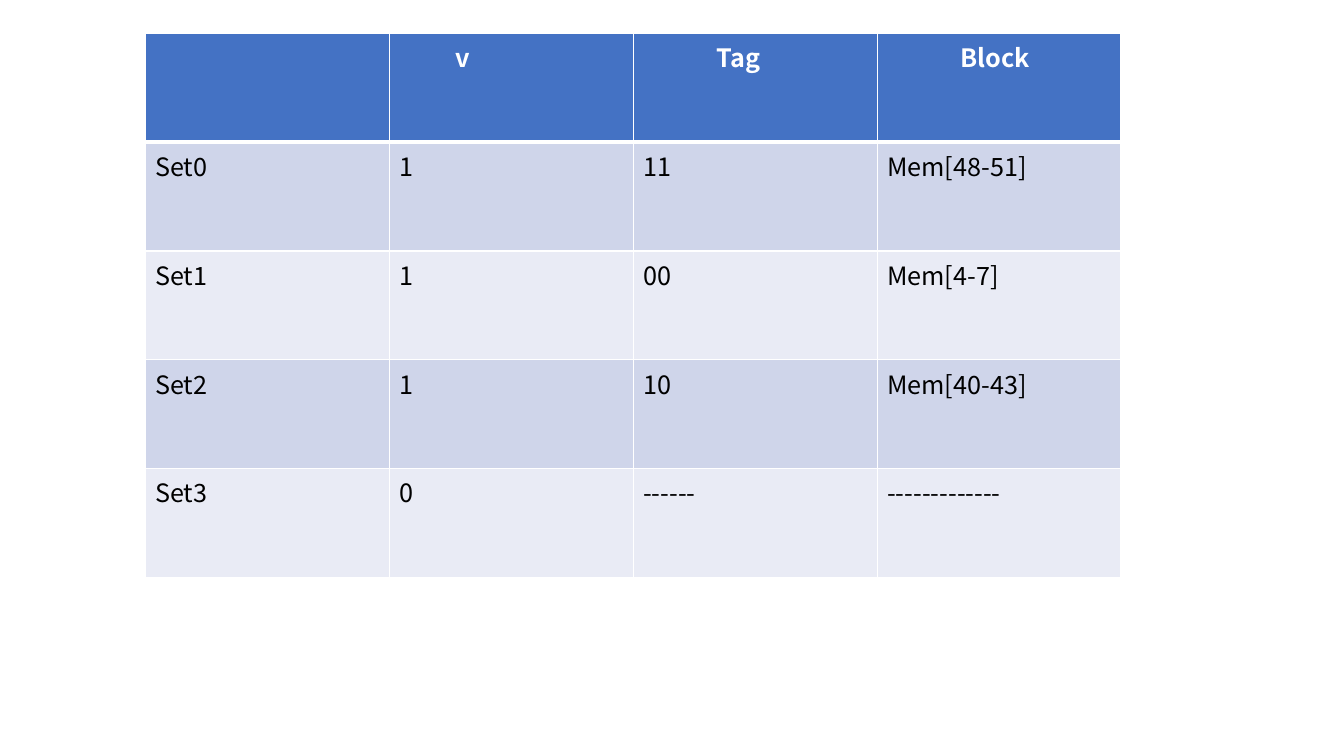
from pptx import Presentation
from pptx.util import Inches, Pt
from pptx.dml.color import RGBColor as RGB
from pptx.oxml import parse_xml
from pptx.oxml.ns import nsdecls

ROWS = [
    ("", "v", "Tag", "Block"),
    ("Set0", "1", "11", "Mem[48-51]"),
    ("Set1", "1", "00", "Mem[4-7]"),
    ("Set2", "1", "10", "Mem[40-43]"),
    ("Set3", "0", "------", "-------------"),
]
INSETS = (0.1, 0.66, 0.83, 0.83)
LEFT, TOP, WIDE, HIGH = 1.44, 0.33, 2.42, 1.08
HEAD, BANDS = "4472C4", ("E9EBF5", "CFD5EA")
WHITE, BLACK = "FFFFFF", "000000"


def paint(fill, color):
    fill.solid()
    fill.fore_color.rgb = RGB.from_string(color)


def edge(cell, sides):
    props = cell._tc.get_or_add_tcPr()
    for spot, (side, width) in enumerate(sides.items()):
        props.insert(spot, parse_xml(
            f'<a:ln{side} {nsdecls("a")} w="{Pt(width)}"><a:solidFill>'
            f'<a:srgbClr val="{WHITE}"/></a:solidFill></a:ln{side}>'))


def write(cell, text, style):
    cell.text = text
    font = cell.text_frame.paragraphs[0].font
    if text:
        font = cell.text_frame.paragraphs[0].runs[0].font
    for name, value in style.items():
        setattr(font, name, value)
    return font


deck = Presentation()
deck.slide_width, deck.slide_height = Inches(13.33), Inches(7.5)
slide = deck.slides.add_slide(deck.slide_layouts[6])
grid = slide.shapes.add_table(
    len(ROWS), len(ROWS[0]), Inches(LEFT), Inches(TOP),
    Inches(WIDE * len(ROWS[0])), Inches(HIGH * len(ROWS))).table
for col in grid.columns:
    col.width = Inches(WIDE)
for r, row in enumerate(ROWS):
    grid.rows[r].height = Inches(HIGH)
    head = r == 0
    style = {"name": "Noto Sans CJK SC", "size": Pt(18), "bold": head}
    sides = {"L": 1, "R": 1, "T": 3 if r == 1 else 1, "B": 3 if head else 1}
    for c, text in enumerate(row):
        cell = grid.cell(r, c)
        font = write(cell, text, style)
        font.color.rgb = RGB.from_string(WHITE if head else BLACK)
        cell.margin_left = Inches(INSETS[c] if head else INSETS[0])
        paint(cell.fill, HEAD if head else BANDS[r % 2])
        edge(cell, sides)

deck.save("out.pptx")
